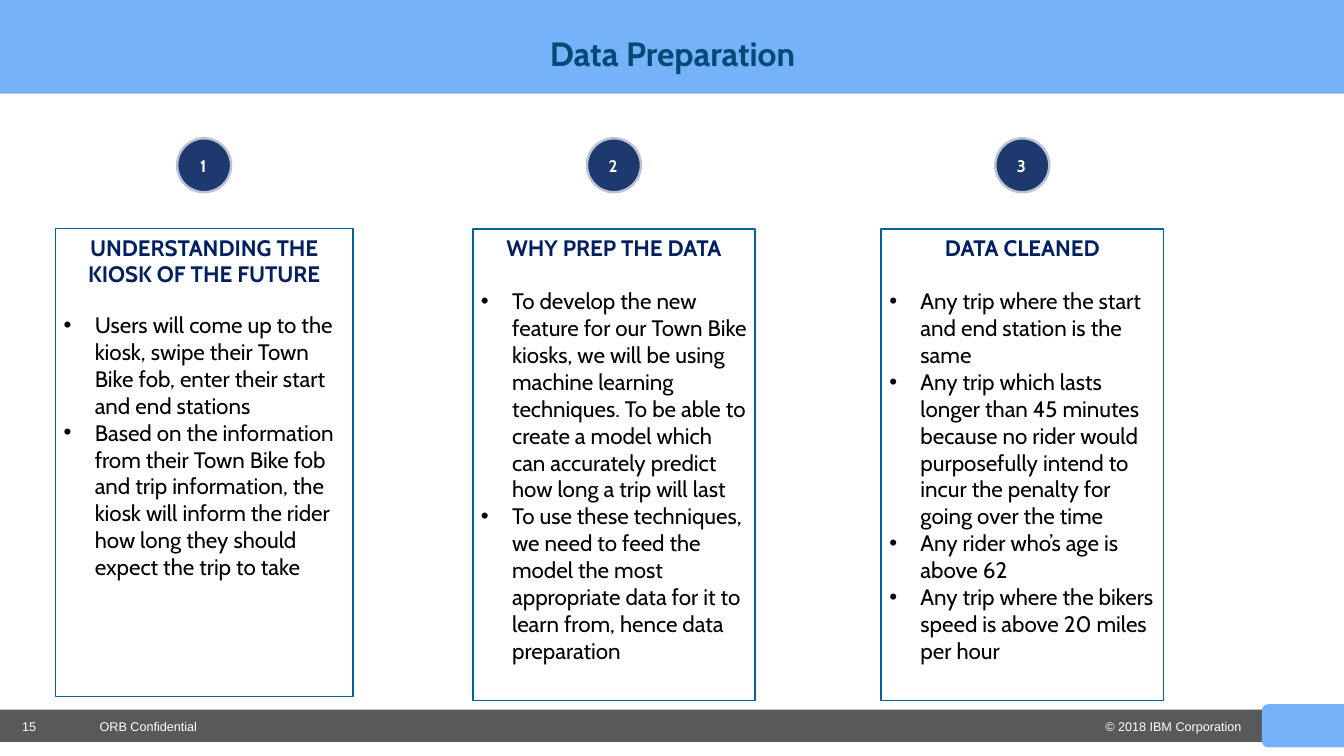
"""Build the Data Preparation slide with three numbered columns."""
from dataclasses import dataclass
from typing import Any, Optional

import lxml.etree
import pptx
import pptx.dml.color
import pptx.enum.shapes
import pptx.enum.text
import pptx.oxml.ns
import pptx.util

Inches = pptx.util.Inches
Pt = pptx.util.Pt
Shape = pptx.enum.shapes.MSO_SHAPE
Align = pptx.enum.text.PP_ALIGN
Anchor = pptx.enum.text.MSO_ANCHOR
qn = pptx.oxml.ns.qn


@dataclass(frozen=True)
class Theme:
    sky: str = "75B2F9"
    gray: str = "595959"
    white: str = "FFFFFF"
    black: str = "000000"
    navy: str = "1E396E"
    ink: str = "002060"
    teal: str = "004B76"
    edge: str = "00649D"
    font: str = "Cabin"
    plain: str = "Arial"
    title: float = 24
    body: float = 16
    badge: float = 12
    small: float = 9


@dataclass(frozen=True)
class Box:
    left: float
    top: float
    width: float
    height: float


@dataclass(frozen=True)
class Column:
    box: Box
    head: str
    gap: float
    points: tuple[str, ...]


@dataclass(frozen=True)
class Note:
    box: Box
    text: str
    align: Any = Align.LEFT


THEME = Theme()
BADGE = 0.56

COLUMNS = (
    Column(Box(0.55, 2.27, 2.95, 4.64), "UNDERSTANDING THE KIOSK OF THE FUTURE", 17, (
        "Users will come up to the kiosk, swipe their Town Bike fob, enter their "
        "start and end stations",
        "Based on the information from their Town Bike fob and trip information, "
        "the kiosk will inform the rider how long they should expect the trip to take",
    )),
    Column(Box(4.69, 2.27, 2.8, 4.68), "WHY PREP THE DATA", 19.2, (
        "To develop the new feature for our Town Bike kiosks, we will be using "
        "machine learning techniques. To be able to create a model which can "
        "accurately predict how long a trip will last",
        "To use these techniques, we need to feed the model the most appropriate "
        "data for it to learn from, hence data preparation",
    )),
    Column(Box(8.74, 2.27, 2.8, 4.68), "DATA CLEANED", 19.2, (
        "Any trip where the start and end station is the same",
        "Any trip which lasts longer than 45 minutes because no rider would "
        "purposefully intend to incur the penalty for going over the time",
        "Any rider who’s age is above 62",
        "Any trip where the bikers speed is above 20 miles per hour",
    )),
)

NOTES = (
    Note(Box(0.12, 7.08, 0.72, 0.25), "15"),
    Note(Box(10.2, 7.07, 2.21, 0.27), "© 2018 IBM Corporation", Align.RIGHT),
    Note(Box(0.89, 7.07, 3.11, 0.27), "ORB Confidential"),
)


def paint(color: str) -> pptx.dml.color.RGBColor:
    return pptx.dml.color.RGBColor.from_string(color)


def place(box: Box) -> tuple[int, ...]:
    return tuple(Inches(n) for n in (box.left, box.top, box.width, box.height))


def add_form(slide: Any, kind: Any, box: Box, fill: str,
             line: Optional[str] = None, width: float = 1) -> Any:
    form = slide.shapes.add_shape(kind, *place(box))
    form.shadow.inherit = False
    form.fill.solid()
    form.fill.fore_color.rgb = paint(fill)
    if line:
        form.line.color.rgb = paint(line)
        form.line.width = Pt(width)
    else:
        form.line.fill.background()
    return form


def set_frame(shape: Any, anchor: Any = Anchor.TOP, side: float = 0.1) -> Any:
    frame = shape.text_frame
    frame.word_wrap = True
    frame.vertical_anchor = anchor
    frame.margin_left = frame.margin_right = Inches(side)
    frame.margin_top = frame.margin_bottom = Inches(0.05)
    return frame


def write(frame: Any, text: str, *, size: float, color: str, font: str = THEME.font,
          bold: bool = False, align: Any = Align.LEFT, after: float = 0,
          lines: float = 1, bullet: bool = False) -> None:
    para = frame.paragraphs[0]
    if para.runs:
        para = frame.add_paragraph()
    para.alignment = align
    para.line_spacing = lines
    para.space_after = Pt(after)
    if bullet:
        props = para._p.get_or_add_pPr()
        props.set("marL", str(Inches(0.31)))
        props.set("indent", str(-Inches(0.31)))
        lxml.etree.SubElement(props, qn("a:buFont")).set("typeface", THEME.plain)
        lxml.etree.SubElement(props, qn("a:buChar")).set("char", "•")
    run = para.add_run()
    run.text = text
    run.font.name = font
    run.font.size = Pt(size)
    run.font.bold = bold
    run.font.color.rgb = paint(color)


def add_text(slide: Any, box: Box, text: str, anchor: Any = Anchor.TOP,
             side: float = 0.1, **style: Any) -> None:
    shape = slide.shapes.add_textbox(*place(box))
    write(set_frame(shape, anchor, side), text, **style)


def add_badge(slide: Any, mark: int, box: Box) -> None:
    left = box.left + (box.width - BADGE) / 2
    disc = add_form(slide, Shape.OVAL, Box(left, 1.36, BADGE, BADGE),
                    THEME.navy, THEME.white, 3.5)
    tint = disc.line._ln.find(".//" + qn("a:srgbClr"))
    lxml.etree.SubElement(tint, qn("a:alpha")).set("val", "70000")
    add_text(slide, Box(left - 0.01, 1.5, BADGE, 0.5), str(mark), side=0.08,
             size=THEME.badge, color=THEME.white, bold=True, align=Align.CENTER)


def add_column(slide: Any, mark: int, item: Column) -> None:
    add_badge(slide, mark, item.box)
    card = add_form(slide, Shape.RECTANGLE, item.box, THEME.white, THEME.edge)
    frame = set_frame(card, side=0.08)
    write(frame, item.head, size=THEME.body, color=THEME.ink, bold=True,
          align=Align.CENTER, after=item.gap)
    for point in item.points:
        write(frame, point, size=THEME.body, color=THEME.black, bullet=True)


def main() -> None:
    deck = pptx.Presentation()
    deck.slide_width, deck.slide_height = Inches(13.33), Inches(7.5)
    slide = deck.slides.add_slide(deck.slide_layouts[6])
    add_form(slide, Shape.RECTANGLE, Box(0, 7.04, 13.33, 0.32), THEME.gray)
    for note in NOTES:
        add_text(slide, note.box, note.text, Anchor.MIDDLE, size=THEME.small,
                 color=THEME.white, font=THEME.plain, align=note.align)
    tab = add_form(slide, Shape.ROUND_2_SAME_RECTANGLE,
                   Box(12.71, 6.79, 0.43, 0.82), THEME.sky)
    tab.rotation = 270
    tab.adjustments[0] = 0.15
    add_form(slide, Shape.RECTANGLE, Box(0, 0, 13.33, 0.93), THEME.sky)
    add_text(slide, Box(0.67, 0.32, 12, 0.45), "Data Preparation", size=THEME.title,
             color=THEME.teal, bold=True, align=Align.CENTER, lines=0.9)
    for mark, item in enumerate(COLUMNS, 1):
        add_column(slide, mark, item)
    deck.save("out.pptx")


if __name__ == "__main__":
    main()
